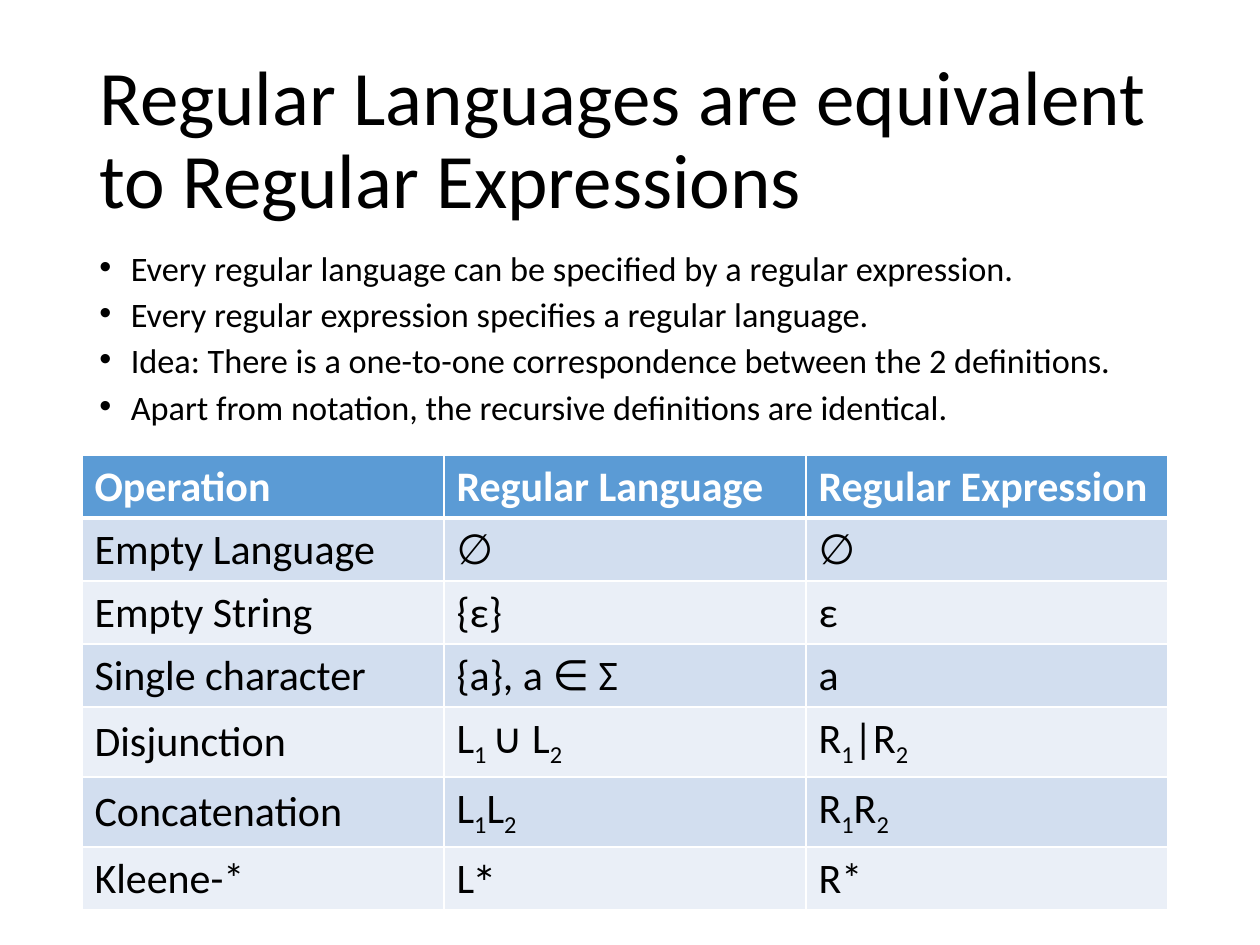
"""Builds a slide relating regular languages to regular expressions."""
import pptx
import pptx.dml.color
import pptx.enum.text
import pptx.oxml
import pptx.oxml.ns
import pptx.util

RGB = pptx.dml.color.RGBColor
BLACK = RGB(0x00, 0x00, 0x00)
WHITE = RGB(0xFF, 0xFF, 0xFF)
HEADER_BLUE = RGB(0x5B, 0x9B, 0xD5)
BAND_DARK = RGB(0xD2, 0xDE, 0xEF)
BAND_LIGHT = RGB(0xEA, 0xEF, 0xF7)
MIDDLE = pptx.enum.text.MSO_ANCHOR.MIDDLE
NAMESPACE = pptx.oxml.ns.nsdecls("a")
Inches = pptx.util.Inches
Pt = pptx.util.Pt

BULLETS = [
    "Every regular language can be specified by a regular expression.",
    "Every regular expression specifies a regular language.",
    "Idea: There is a one-to-one correspondence between the 2 definitions.",
    "Apart from notation, the recursive definitions are identical.",
]
SUBSCRIPT, SUPERSCRIPT = -25, 30
ROWS = [
    [["Operation"], ["Regular Language"], ["Regular Expression"]],
    [["Empty Language"], ["∅"], ["∅"]],
    [["Empty String"], ["{ε}"], ["ε"]],
    [["Single character"], ["{a}, a ∈ Σ"], ["a"]],
    [["Disjunction"], ["L", "1 ", "∪ L", "2"], ["R", "1", "|R", "2"]],
    [["Concatenation"], ["L", "1", "L", "2"], ["R", "1", "R", "2"]],
    [["Kleene-*"], ["L", "∗"], ["R*"]],
]


def add_span(para, text, size, color=BLACK, bold=False, baseline=0):
    span = para.add_run()
    span.text = text
    span.font.name = "Calibri"
    span.font.size = Pt(size)
    span.font.bold = bold
    span.font.color.rgb = color
    if baseline:
        span.font._element.set("baseline", str(baseline * 1000))


def add_border(cell, side, width):
    cell._tc.get_or_add_tcPr().append(pptx.oxml.parse_xml(
        f'<a:ln{side} {NAMESPACE} w="{Pt(width)}"><a:solidFill>'
        f'<a:srgbClr val="{WHITE}"/></a:solidFill></a:ln{side}>'))


deck = pptx.Presentation()
deck.slide_width, deck.slide_height = Inches(10), Inches(7.5)
page = deck.slides.add_slide(deck.slide_layouts[5])
left, width = Inches(0.69), Inches(8.62)

title = page.shapes.title
title.left, title.top, title.width, title.height = left, Inches(0.4), width, Inches(1.45)
title.text_frame.vertical_anchor = MIDDLE
title.text_frame.word_wrap = True
title.text_frame.auto_size = pptx.enum.text.MSO_AUTO_SIZE.NONE
para = title.text_frame.paragraphs[0]
para.alignment = pptx.enum.text.PP_ALIGN.LEFT
para.line_spacing = 0.9
add_span(para, "Regular Languages are equivalent to Regular Expressions", 44)

body = page.shapes.add_textbox(left, Inches(2), width, Inches(1.73)).text_frame
body.word_wrap = True
for index, text in enumerate(BULLETS):
    para = body.add_paragraph() if index else body.paragraphs[0]
    para.line_spacing = 0.7
    para.space_before = Pt(10)
    properties = para._p.get_or_add_pPr()
    properties.set("marL", str(Inches(0.25)))
    properties.set("indent", str(-Inches(0.25)))
    for tag in ('buFont {} typeface="Arial"', 'buChar {} char="•"'):
        properties.append(pptx.oxml.parse_xml(f"<a:{tag.format(NAMESPACE)}/>"))
    add_span(para, text, 19.6)

table = page.shapes.add_table(
    len(ROWS), len(ROWS[0]), Inches(0.65), Inches(3.61), width, Inches(3.5)).table
for row_index, row in enumerate(ROWS):
    header = row_index == 0
    table.rows[row_index].height = Inches(0.5)
    for column_index, parts in enumerate(row):
        cell = table.cell(row_index, column_index)
        cell.vertical_anchor = MIDDLE
        for side in "LRTB":
            heavy = (side == "B" and header) or (side == "T" and row_index == 1)
            add_border(cell, side, 3 if heavy else 1)
        cell.fill.solid()
        cell.fill.fore_color.rgb = (
            HEADER_BLUE if header else BAND_DARK if row_index % 2 else BAND_LIGHT)
        para = cell.text_frame.paragraphs[0]
        for part_index, text in enumerate(parts):
            shift = SUPERSCRIPT if text == "∗" else SUBSCRIPT
            add_span(para, text, 24, WHITE if header else BLACK, header,
                     shift if part_index % 2 else 0)

deck.save("out.pptx")
